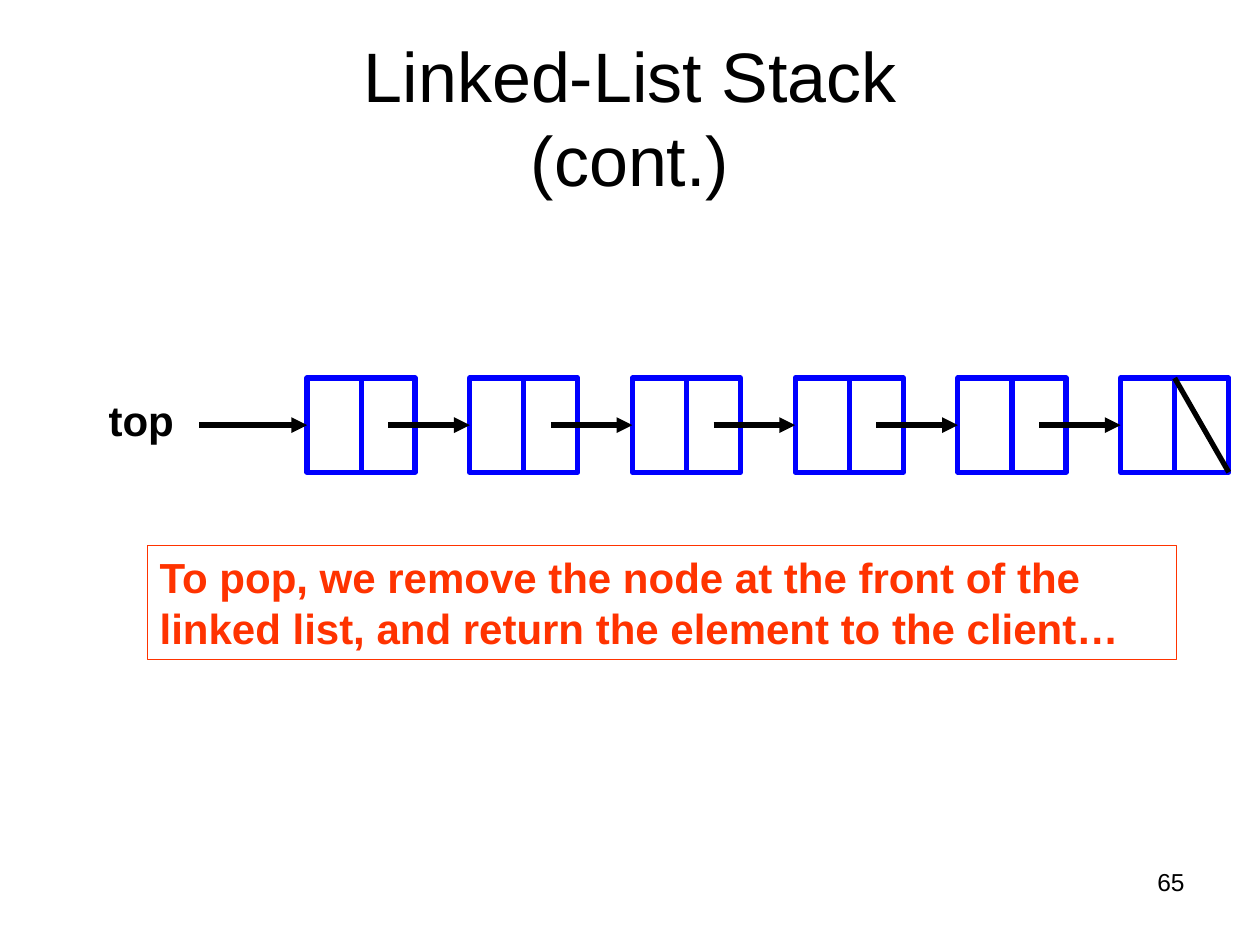
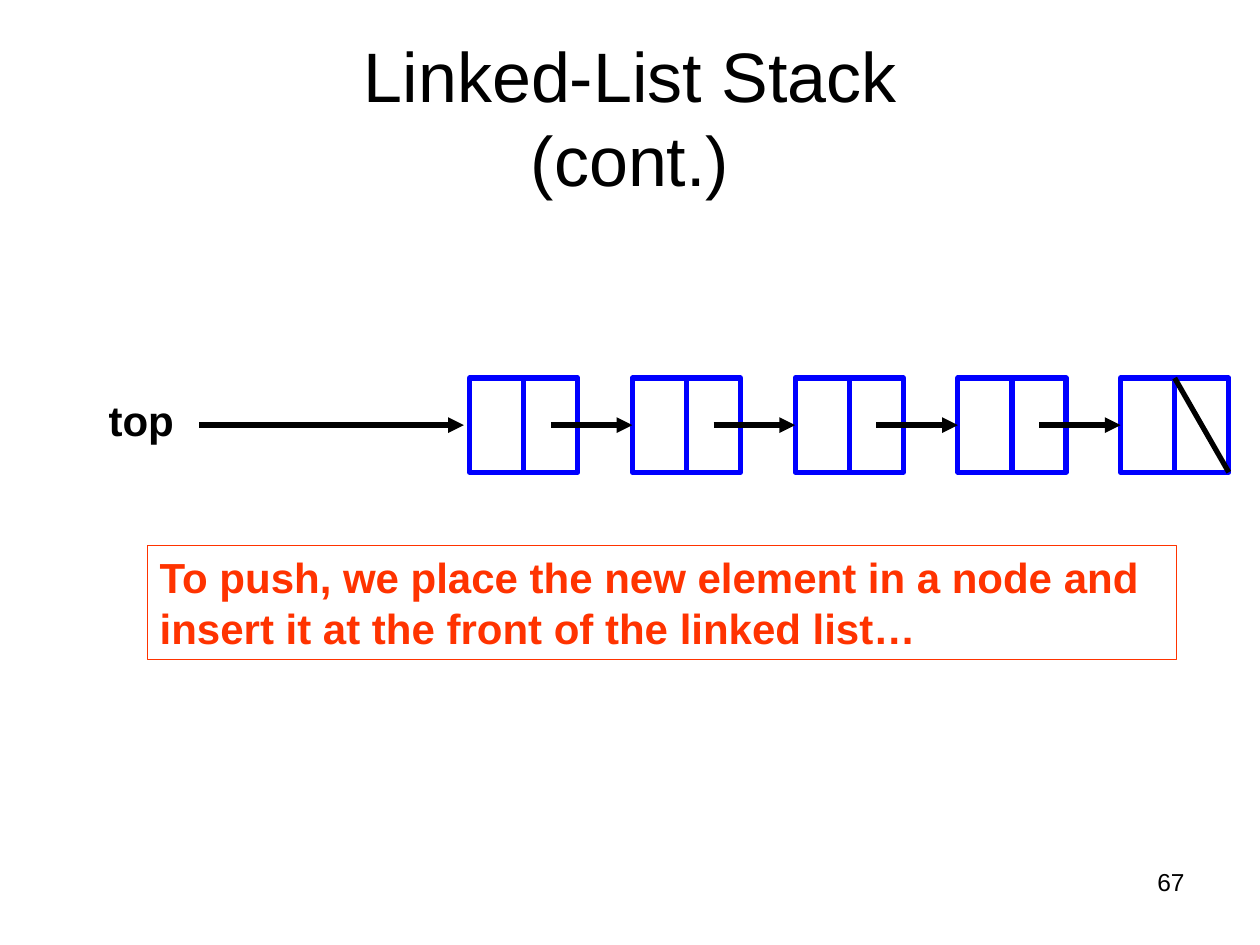
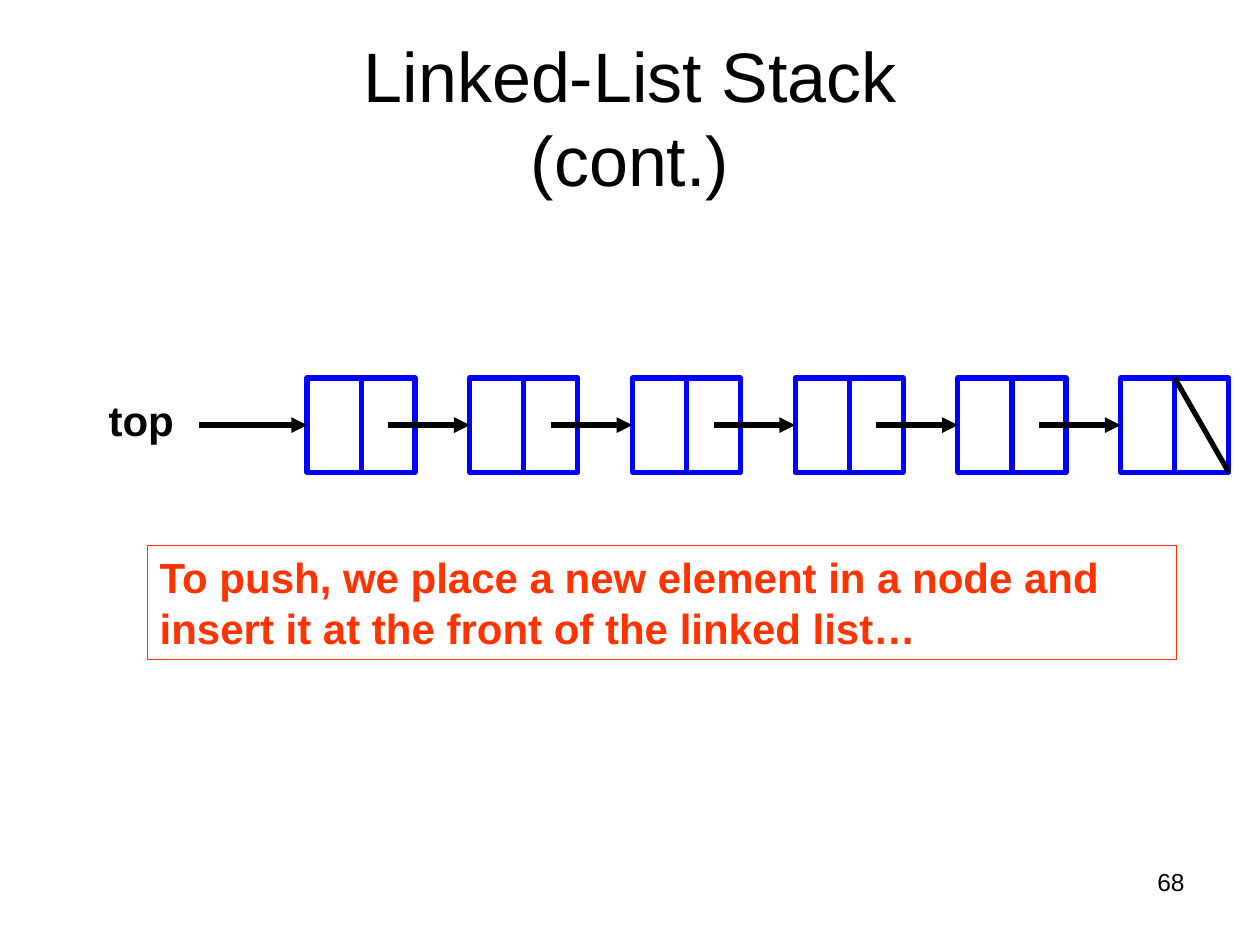
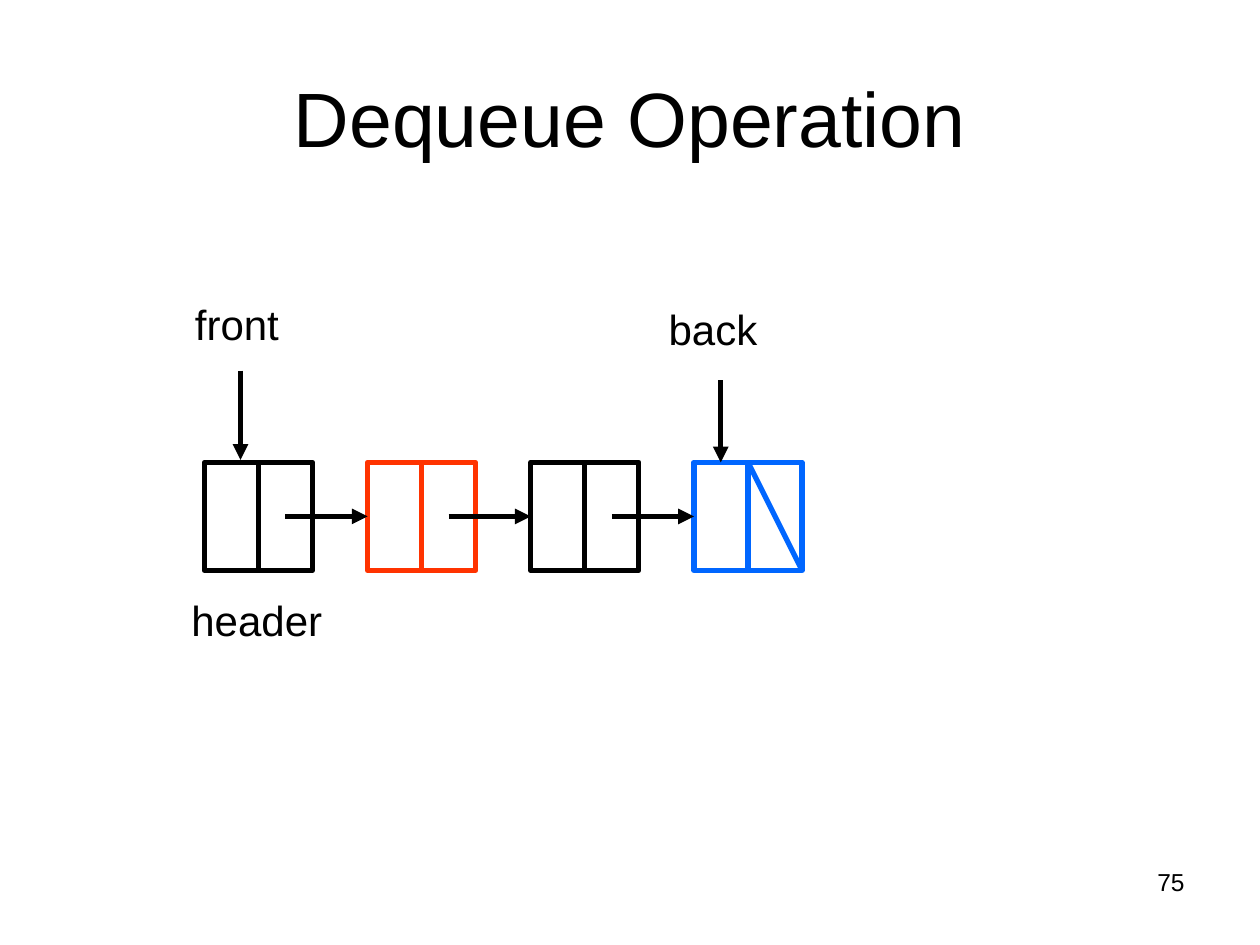
"""Build four slides on linked-list stacks and the dequeue operation."""
from dataclasses import dataclass

from lxml.etree import SubElement
from pptx import Presentation
from pptx.dml.color import RGBColor
from pptx.enum.shapes import MSO_CONNECTOR, MSO_SHAPE
from pptx.enum.text import MSO_ANCHOR, PP_ALIGN
from pptx.oxml.ns import qn
from pptx.util import Cm, Pt


@dataclass(frozen=True)
class Theme:
    font: str = "Arial"
    black: RGBColor = RGBColor(0x00, 0x00, 0x00)
    white: RGBColor = RGBColor(0xFF, 0xFF, 0xFF)
    blue: RGBColor = RGBColor(0x00, 0x00, 0xFF)
    sky: RGBColor = RGBColor(0x00, 0x66, 0xFF)
    red: RGBColor = RGBColor(0xFF, 0x33, 0x00)
    long_title: Pt = Pt(40)
    title: Pt = Pt(44)
    body: Pt = Pt(24)
    number: Pt = Pt(14)
    stroke: Pt = Pt(3)
    frame: Pt = Pt(0.75)


theme = Theme()


def add_text(slide, text, area, size, color=theme.black, bold=False,
             align=PP_ALIGN.LEFT, anchor=MSO_ANCHOR.TOP):
    box = slide.shapes.add_textbox(*[Cm(length) for length in area])
    box.text_frame.word_wrap = True
    box.text_frame.vertical_anchor = anchor
    paragraph = box.text_frame.paragraphs[0]
    paragraph.text = text
    paragraph.alignment = align
    paragraph.font.name = theme.font
    paragraph.font.size = size
    paragraph.font.bold = bold
    paragraph.font.color.rgb = color
    return box


def add_line(slide, start, end, color=theme.black, arrow=False):
    line = slide.shapes.add_connector(
        MSO_CONNECTOR.STRAIGHT, *[Cm(length) for length in (*start, *end)])
    line.line.color.rgb = color
    line.line.width = theme.stroke
    properties = line.element.spPr
    if arrow:
        SubElement(properties.find(qn("a:ln")), qn("a:tailEnd"), type="triangle")
    SubElement(properties, qn("a:effectLst"))
    return line


node_width = 2.18
stack_base = {
    "title": "Linked-List Stack\n(cont.)", "title_size": theme.long_title,
    "top": 7.62, "height": 1.9, "pitch": 3.28, "null_color": theme.black,
    "labels": [("top", (1.94, 7.82, 2.27, 1.27), True)],
}
full_stack = stack_base | {
    "left": 6.19, "colors": [theme.blue] * 6,
    "pointers": [((4.02, 8.57), (6.19, 8.57))], "joins_first": True,
}
short_stack = stack_base | {
    "left": 9.47, "colors": [theme.blue] * 5,
    "pointers": [((4.02, 8.57), (9.35, 8.57))], "joins_first": False,
}
queue = {
    "title": "Dequeue Operation", "title_size": theme.title,
    "left": 4.12, "top": 9.32, "height": 2.18, "pitch": 3.29,
    "colors": [theme.black, theme.red, theme.black, theme.sky],
    "null_color": theme.sky,
    "labels": [
        ("front", (3.68, 5.89, 2.54, 0.94), False),
        ("back", (13.23, 5.99, 2.87, 0.97), False),
        ("header", (3.61, 11.86, 4.01, 1.27), False),
    ],
    "pointers": [((4.85, 7.47), (4.85, 9.27)), ((14.53, 7.67), (14.53, 9.32))],
    "joins_first": False,
}
pages = [
    (65, full_stack, "To pop, we remove the node at the front of the linked list, "
                     "and return the element to the client…"),
    (67, short_stack, "To push, we place the new element in a node and insert it "
                      "at the front of the linked list…"),
    (68, full_stack, "To push, we place a new element in a node and insert it "
                     "at the front of the linked list…"),
    (75, queue, None),
]

deck = Presentation()
deck.slide_width = Cm(25.4)
deck.slide_height = Cm(19.05)

for number, diagram, note in pages:
    slide = deck.slides.add_slide(deck.slide_layouts[6])
    add_text(slide, str(number), (18.21, 17.35, 5.92, 1.32), theme.number,
             align=PP_ALIGN.RIGHT)
    add_text(slide, diagram["title"], (1.27, 0.76, 22.86, 3.18),
             diagram["title_size"], align=PP_ALIGN.CENTER, anchor=MSO_ANCHOR.MIDDLE)

    top, height = diagram["top"], diagram["height"]
    middle, bottom = top + height / 2, top + height
    nodes = []
    for index, color in enumerate(diagram["colors"]):
        left = diagram["left"] + index * diagram["pitch"]
        center = left + node_width / 2
        node = slide.shapes.add_shape(
            MSO_SHAPE.RECTANGLE, Cm(left), Cm(top), Cm(node_width), Cm(height))
        node.shadow.inherit = False
        node.fill.solid()
        node.fill.fore_color.rgb = theme.white
        node.line.color.rgb = color
        node.line.width = theme.stroke
        divider = add_line(slide, (center, top), (center, bottom), color)
        divider.begin_connect(node, 0)
        divider.end_connect(node, 2)
        if nodes:
            link_start = left - diagram["pitch"] + node_width * 0.75
            link = add_line(slide, (link_start, middle), (left, middle), arrow=True)
            link.end_connect(node, 1)
        nodes.append(node)

    null_mark = add_line(slide, (center, top), (left + node_width, bottom),
                         diagram["null_color"])
    null_mark.begin_connect(nodes[-1], 0)

    for start, tip in diagram["pointers"]:
        pointer = add_line(slide, start, tip, arrow=True)
        if diagram["joins_first"]:
            pointer.end_connect(nodes[0], 1)
    for label, area, bold in diagram["labels"]:
        add_text(slide, label, area, theme.body, bold=bold)
    if note:
        callout = add_text(slide, note, (2.97, 11, 20.75, 2.29), theme.body,
                           theme.red, bold=True)
        callout.line.color.rgb = theme.red
        callout.line.width = theme.frame

deck.save("out.pptx")
